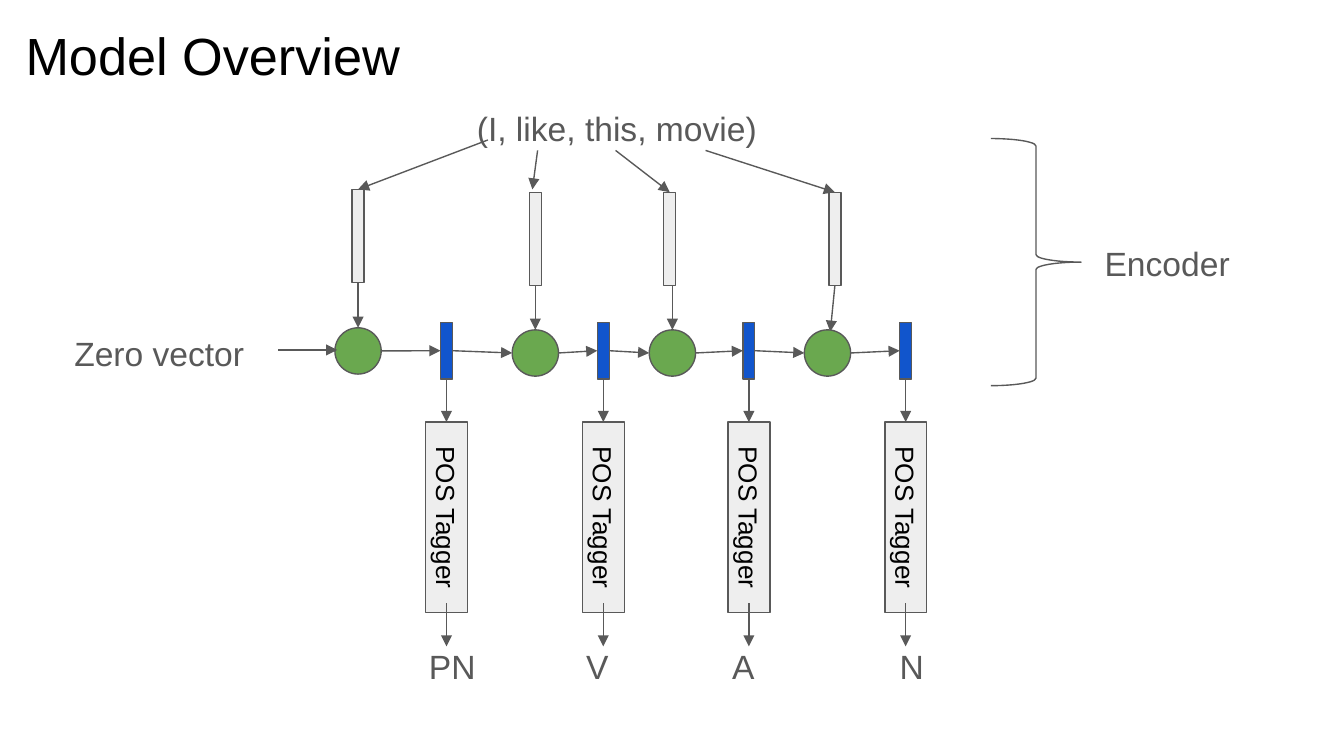
from lxml.etree import SubElement
from pptx import Presentation
from pptx.dml.color import RGBColor
from pptx.enum.shapes import MSO_CONNECTOR, MSO_SHAPE
from pptx.enum.text import MSO_ANCHOR, MSO_AUTO_SIZE, PP_ALIGN
from pptx.oxml.ns import qn
from pptx.util import Pt

GRAY, PALE, GREEN, BLUE, BLACK = "595959", "EEEEEE", "6AA84F", "1155CC", "000000"

prs = Presentation()
prs.slide_width, prs.slide_height = Pt(720), Pt(405)
slide = prs.slides.add_slide(prs.slide_layouts[1])
shapes = slide.shapes


def write(holder, text, size=18, color=GRAY, align=PP_ALIGN.CENTER,
          anchor=MSO_ANCHOR.TOP, spacing=1.15, after=16, box=None):
    if box:
        holder.left, holder.top, holder.width, holder.height = map(Pt, box)
    frame = holder.text_frame
    frame.word_wrap, frame.auto_size = True, MSO_AUTO_SIZE.NONE
    frame.vertical_anchor = anchor
    frame.margin_left = frame.margin_right = Pt(7.2)
    frame.margin_top = frame.margin_bottom = Pt(7.2)
    line = frame.paragraphs[0]
    line.alignment, line.line_spacing = align, spacing
    line.space_before, line.space_after = Pt(0), Pt(after)
    run = line.add_run()
    run.text = text
    run.font.name, run.font.size = "Arial", Pt(size)
    run.font.color.rgb = RGBColor.from_string(color)


def draw(kind, box, fill=None, arrow=False):
    """Outlined shape at left, top, width, height, or an arrow between two points."""
    if arrow:
        part = shapes.add_connector(kind, *map(Pt, box))
    else:
        part = shapes.add_shape(kind, *map(Pt, box))
        part.shadow.inherit = False
        if fill:
            part.fill.solid()
            part.fill.fore_color.rgb = RGBColor.from_string(fill)
        else:
            part.fill.background()
    part.line.color.rgb = RGBColor.from_string(GRAY)
    part.line.width = Pt(0.75)
    if arrow:
        SubElement(part.line._get_or_add_ln(), qn("a:tailEnd"), type="triangle")
        SubElement(part._element.spPr, qn("a:effectLst"))
    return part


# Title and input sentence
write(shapes.title, "Model Overview", size=28, color=BLACK, align=PP_ALIGN.LEFT,
      spacing=1, after=0, box=(6.5, 5, 671, 45.4))
sentence = slide.placeholders[1]
write(sentence, "(I, like, this, movie)", box=(204.5, 47.5, 252, 27.4))
sentence_format = sentence.text_frame.paragraphs[0]._p.get_or_add_pPr()
sentence_format.set("marL", "0")
sentence_format.set("indent", "0")
SubElement(sentence_format, qn("a:buNone"))

# Side labels
for label, box in (("Zero vector", (24.5, 167.8, 121.7, 27.4)),
                   ("Encoder", (554.4, 119.5, 141.8, 27.4))):
    write(shapes.add_textbox(*map(Pt, box)), label)

# Encoder: word start point, word vector x and top, cell x and top
cell_size, vector_width, vector_height = 24.8, 6.4, 49.8
words = [
    ((261.4, 75), 191.8, 101.5, 191.8, 175.6),
    ((288, 80.6), 286.8, 103, 286.8, 176.7),
    ((329.8, 80.6), 358.8, 103, 360.2, 176.7),
    ((378, 80.6), 447.3, 103, 443.3, 176.7),
]
states = [239.2, 323.2, 401.2, 485.2]
state_width, state_top, state_height = 6.4, 172.8, 30.2
state_middle = state_top + state_height / 2
state_bottom = state_top + state_height

for number, (start, vector_x, vector_top, cell_x, cell_top) in enumerate(words):
    vector_bottom = vector_top + vector_height
    tip = (285.2, 101.5) if number == 1 else (vector_x, vector_top)
    foot = (444.8, 177.7) if number == 3 else (cell_x, cell_top)
    draw(MSO_CONNECTOR.STRAIGHT, (*start, *tip), arrow=True)
    draw(MSO_SHAPE.RECTANGLE, (vector_x - vector_width / 2, vector_top,
                               vector_width, vector_height), PALE)
    draw(MSO_CONNECTOR.STRAIGHT,
         (cell_x if number == 2 else vector_x, vector_bottom, *foot), arrow=True)
    draw(MSO_SHAPE.OVAL, (cell_x - cell_size / 2, cell_top, cell_size, cell_size), GREEN)

for state_x in states:
    draw(MSO_SHAPE.RECTANGLE, (state_x - state_width / 2, state_top,
                               state_width, state_height), BLUE)

# Recurrent chain: zero vector, then cell to state to next cell
draw(MSO_CONNECTOR.STRAIGHT, (149, 187.5, 180.7, 187.5), arrow=True)
for number, state_x in enumerate(states):
    cell_x, cell_top = words[number][3:]
    draw(MSO_CONNECTOR.STRAIGHT, (cell_x + cell_size / 2, cell_top + cell_size / 2,
                                  state_x - state_width / 2, state_middle), arrow=True)
    if number + 1 < len(words):
        next_x, next_top = words[number + 1][3:]
        draw(MSO_CONNECTOR.STRAIGHT, (state_x + state_width / 2, state_middle,
                                      next_x - cell_size / 2, next_top + cell_size / 2),
             arrow=True)

# Encoder brace
brace = draw(MSO_SHAPE.RIGHT_BRACE, (530.8, 74.2, 48.4, 132.4))
brace.adjustments[0], brace.adjustments[1] = 0.083, 0.5

# Taggers and their output tags
tagger_length, tagger_width, tagger_middle = 102.2, 22.4, 277.2
for state_x, tag, tag_x in zip(states, ("PN", "V", "A", "N"),
                               (242.3, 320, 398.3, 488.4)):
    tagger = draw(MSO_SHAPE.RECTANGLE,
                  (state_x - tagger_length / 2, tagger_middle - tagger_width / 2,
                   tagger_length, tagger_width), PALE)
    tagger.rotation = 90
    write(tagger, "POS Tagger", size=14, color=BLACK, anchor=MSO_ANCHOR.MIDDLE,
          spacing=1, after=0)
    for top, bottom in ((state_bottom, 226.1), (323.3, 346.3)):
        draw(MSO_CONNECTOR.STRAIGHT, (state_x, top, state_x, bottom), arrow=True)
    write(shapes.add_textbox(Pt(tag_x - 50), Pt(335.5), Pt(100), Pt(27.4)), tag)

prs.save("out.pptx")
